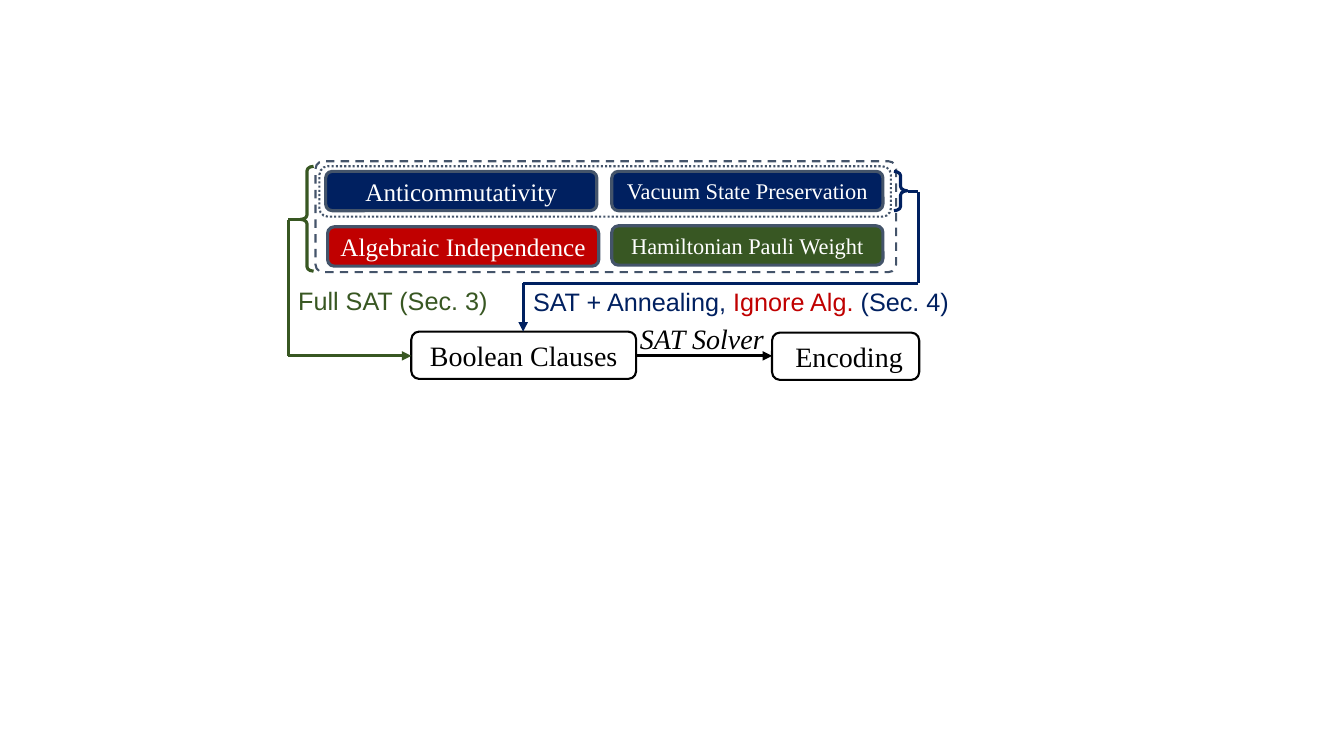
"""Build the slide that shows two routes from constraints to an encoding."""
import itertools

import pptx
import pptx.dml.color
import pptx.enum.dml
import pptx.enum.shapes
import pptx.enum.text
import pptx.oxml
import pptx.oxml.ns
import pptx.util

Pt = pptx.util.Pt
SHAPES = pptx.enum.shapes.MSO_SHAPE
DASHES = pptx.enum.dml.MSO_LINE
SERIF, SANS = "Times New Roman", "Arial"
COLORS = {"navy": "002060", "red": "C00000", "green": "385723", "route green": "385722",
          "slate": "44546A", "black": "000000", "white": "FFFFFF"}

CARD_WIDTH, CARD_HEIGHT = 193.7, 28.1
CONSTRAINTS = [
    ("Anticommutativity", 18, "navy", 232.6, 122.4),
    ("Vacuum State Preservation", 16, "navy", 437, 122.4),
    ("Algebraic Independence", 18, "red", 234, 162),
    ("Hamiltonian Pauli Weight", 16, "green", 437, 161.3),
]
STAGES = [
    ("Boolean Clauses", (293.8, 236.9, 160.6, 33.8)),
    (" Encoding", (551.5, 237.6, 105.1, 33.8)),
]
FRAMES = [
    ((228.2, 118.8, 408.2, 36), DASHES.ROUND_DOT, 0.167),
    ((225.4, 115.2, 414.7, 79.2), DASHES.DASH, 0.069),
]
BRACES = [
    ((638.6, 122.4, 9.4, 28.1), 0, "navy"),
    ((214.6, 118.8, 9.4, 74.9), 180, "route green"),
]
ROUTES = [
    ("navy", [(648.7, 136.8), (655.9, 136.8), (655.9, 202.3), (373.7, 202.3), (373.7, 236.9)]),
    ("route green", [(214.6, 157), (205.9, 157), (205.9, 254.2), (293.8, 254.2)]),
    ("black", [(454.3, 254.2), (551.5, 254.2)]),
]
LABELS = [
    ((373.7, 200.9, 319, 28.8), SANS, 18, False,
     [("SAT + Annealing, ", "navy"), ("Ignore Alg. ", "red"), ("(Sec. 4)", "navy")]),
    ((205.9, 200.2, 157.7, 28.8), SANS, 18, False, [("Full SAT (Sec. 3)", "route green")]),
    ((450, 226.1, 105.1, 31.7), SERIF, 20, True, [("SAT Solver", "black")]),
]


def rgb(color):
    return pptx.dml.color.RGBColor.from_string(COLORS[color])


def add_outline(slide, preset, box, color, width, fill=None):
    shape = slide.shapes.add_shape(preset, *map(Pt, box))
    shape.shadow.inherit = False
    shape.line.color.rgb = rgb(color)
    shape.line.width = Pt(width)
    if fill:
        shape.fill.solid()
        shape.fill.fore_color.rgb = rgb(fill)
    else:
        shape.fill.background()
    return shape


def write_centred(shape, text, size, color):
    frame = shape.text_frame
    frame.word_wrap = False
    frame.vertical_anchor = pptx.enum.text.MSO_ANCHOR.MIDDLE
    paragraph = frame.paragraphs[0]
    paragraph.text = text
    paragraph.alignment = pptx.enum.text.PP_ALIGN.CENTER
    paragraph.font.name = SERIF
    paragraph.font.size = Pt(size)
    paragraph.font.color.rgb = rgb(color)


def add_label(slide, box, font, size, italic, parts):
    frame = slide.shapes.add_textbox(*map(Pt, box)).text_frame
    frame.word_wrap = True
    frame.auto_size = pptx.enum.text.MSO_AUTO_SIZE.SHAPE_TO_FIT_TEXT
    paragraph = frame.paragraphs[0]
    paragraph.font.name = font
    paragraph.font.size = Pt(size)
    paragraph.font.italic = italic
    for text, color in parts:
        run = paragraph.add_run()
        run.text = text
        run.font.color.rgb = rgb(color)


def add_route(slide, color, points):
    for start, end in itertools.pairwise(points):
        segment = slide.shapes.add_connector(
            pptx.enum.shapes.MSO_CONNECTOR.STRAIGHT, *map(Pt, start + end))
        segment.line.color.rgb = rgb(color)
        segment.line.width = Pt(2.25)
        properties = segment._element.spPr
        if end == points[-1]:
            outline = properties.find(pptx.oxml.ns.qn("a:ln"))
            outline.append(pptx.oxml.parse_xml(
                f'<a:tailEnd {pptx.oxml.ns.nsdecls("a")} type="triangle"/>'))
        properties.append(pptx.oxml.parse_xml(f'<a:effectLst {pptx.oxml.ns.nsdecls("a")}/>'))


presentation = pptx.Presentation()
presentation.slide_width, presentation.slide_height = Pt(960), Pt(540)
slide = presentation.slides.add_slide(presentation.slide_layouts[6])

for name, size, fill, left, top in CONSTRAINTS:
    card = add_outline(slide, SHAPES.ROUNDED_RECTANGLE, (left, top, CARD_WIDTH, CARD_HEIGHT),
                       "slate", 2.25, fill)
    write_centred(card, name, size, "white")

for name, box in STAGES:
    stage = add_outline(slide, SHAPES.ROUNDED_RECTANGLE, box, "black", 1.5)
    write_centred(stage, name, 20, "black")

for box, dash, rounding in FRAMES:
    group = add_outline(slide, SHAPES.ROUNDED_RECTANGLE, box, "slate", 1.5)
    group.line.dash_style = dash
    group.adjustments[0] = rounding

for box, rotation, color in BRACES:
    brace = add_outline(slide, SHAPES.RIGHT_BRACE, box, color, 2.25)
    brace.rotation = rotation
    brace.adjustments[0], brace.adjustments[1] = 0.33, 0.494

for color, points in ROUTES:
    add_route(slide, color, points)

for label in LABELS:
    add_label(slide, *label)

presentation.save("out.pptx")
